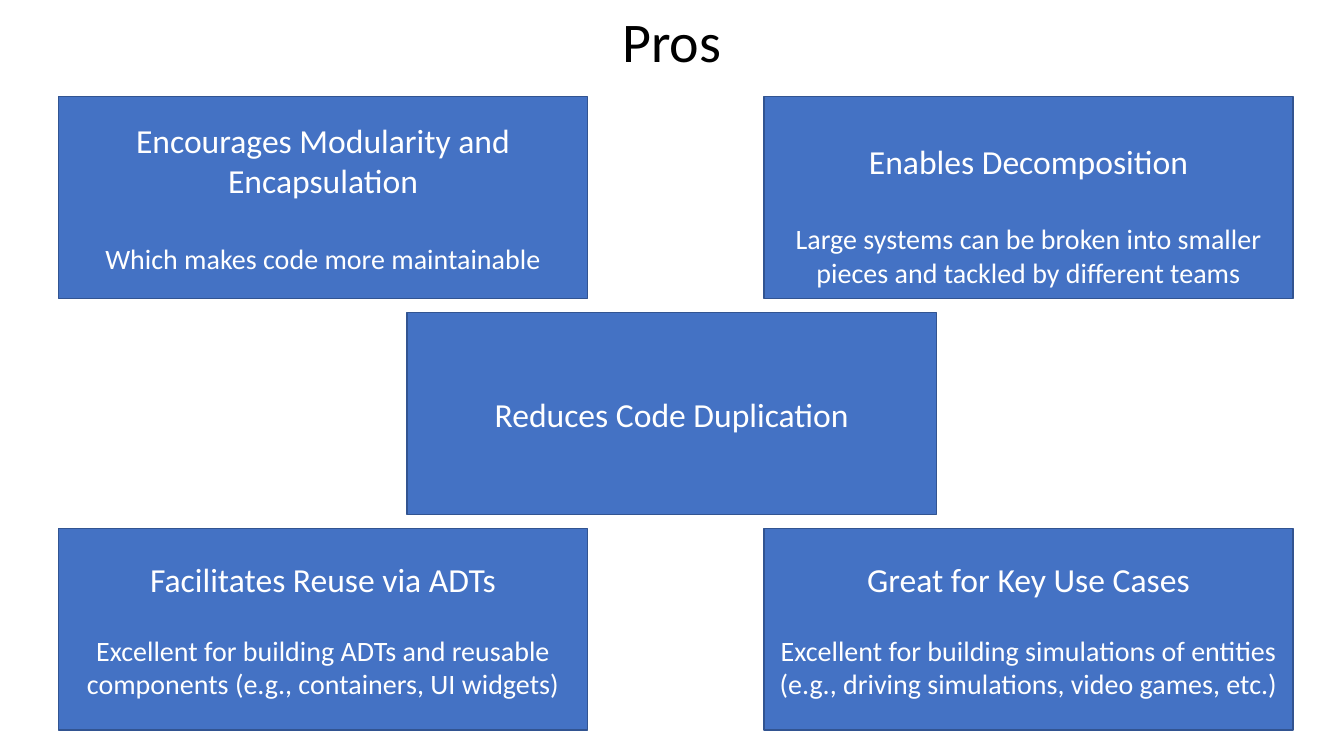
"""Build the slide that lists the pros in five boxes."""
from dataclasses import dataclass

from pptx import Presentation
from pptx import util as u
from pptx.dml.color import RGBColor
from pptx.enum import shapes, text


@dataclass(frozen=True)
class Theme:
    """Colours, font and type sizes of the slide."""
    font: str = "Calibri"
    black: RGBColor = RGBColor(0x00, 0x00, 0x00)
    white: RGBColor = RGBColor(0xFF, 0xFF, 0xFF)
    fill: RGBColor = RGBColor(0x44, 0x72, 0xC4)
    line: RGBColor = RGBColor(0x32, 0x54, 0x91)
    title: u.Pt = u.Pt(40)
    heading: u.Pt = u.Pt(24)
    body: u.Pt = u.Pt(20)


THEME = Theme()
LEFT, CENTRE, RIGHT = 1.47, 10.26, 19.25
BOX_W, BOX_H = 13.34, 5.08
FIRST_TOP, ROW_PITCH = 2.44, 5.44
INSET = 0.13

PROS = [
    (LEFT, 0, "Encourages Modularity and Encapsulation",
     "Which makes code more maintainable", 29.3, 0),
    (RIGHT, 0, "Enables Decomposition",
     "Large systems can be broken into smaller pieces and tackled by different teams", 29.3, 0.86),
    (CENTRE, 1, "Reduces Code Duplication", "", 0, 0),
    (LEFT, 2, "Facilitates Reuse via ADTs",
     "Excellent for building ADTs and reusable components (e.g., containers, UI widgets)", 24.4, 0),
    (RIGHT, 2, "Great for Key Use Cases",
     "Excellent for building simulations of entities (e.g., driving simulations, video games, etc.)", 24.4, 0),
]


def add_run(p, words, size, colour):
    """Add one centred run to a paragraph."""
    p.alignment = text.PP_ALIGN.CENTER
    r = p.add_run()
    r.text = words
    r.font.name = THEME.font
    r.font.size = size
    r.font.color.rgb = colour


def add_title(s, words):
    """Add the slide title."""
    sp = s.shapes.add_textbox(u.Cm(2.18), u.Cm(0.03), u.Cm(29.49), u.Cm(1.96))
    tf = sp.text_frame
    tf.word_wrap = True
    add_run(tf.paragraphs[0], words, THEME.title, THEME.black)


def add_box(s, left, row, heading, body, gap, drop):
    """Add a box with a heading and an optional body, lowered by an extra top inset."""
    sp = s.shapes.add_shape(
        shapes.MSO_SHAPE.RECTANGLE, u.Cm(left), u.Cm(FIRST_TOP + row * ROW_PITCH),
        u.Cm(BOX_W), u.Cm(BOX_H))
    sp.shadow.inherit = False
    sp.fill.solid()
    sp.fill.fore_color.rgb = THEME.fill
    sp.line.color.rgb = THEME.line
    sp.line.width = u.Pt(1)
    tf = sp.text_frame
    tf.word_wrap = True
    tf.vertical_anchor = text.MSO_ANCHOR.MIDDLE
    tf.margin_top = u.Cm(INSET + drop)
    add_run(tf.paragraphs[0], heading, THEME.heading, THEME.white)
    if body:
        p = tf.add_paragraph()
        p.space_before = u.Pt(gap)
        add_run(p, body, THEME.body, THEME.white)


def main():
    """Build and save the slide."""
    prs = Presentation()
    prs.slide_width, prs.slide_height = u.Cm(33.87), u.Cm(19.05)
    s = prs.slides.add_slide(prs.slide_layouts[6])
    add_title(s, "Pros")
    for pro in PROS:
        add_box(s, *pro)
    prs.save("out.pptx")


if __name__ == "__main__":
    main()
